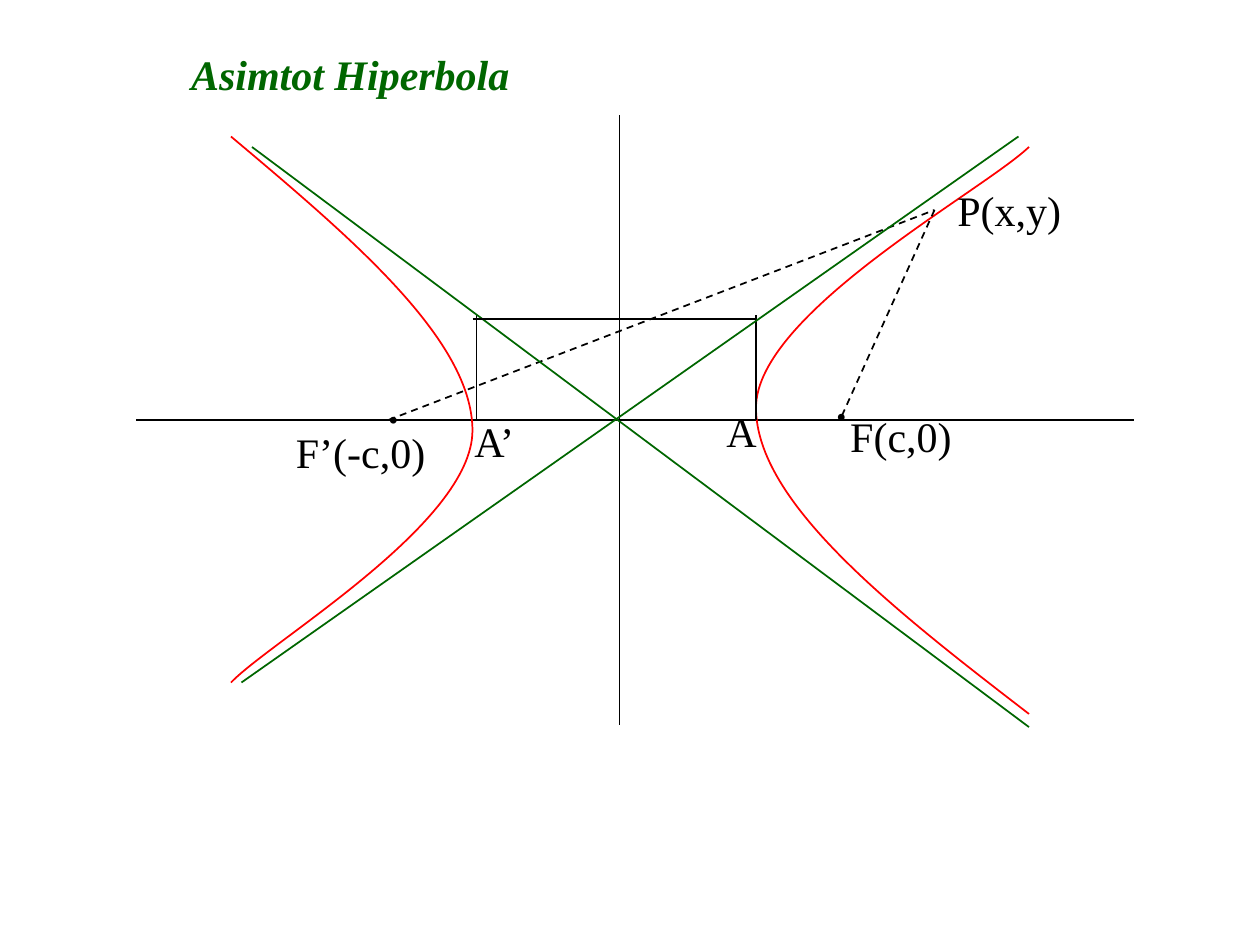
from pptx import Presentation
from pptx.dml.color import RGBColor
from pptx.enum.dml import MSO_LINE
from pptx.enum.shapes import MSO_CONNECTOR
from pptx.enum.text import MSO_ANCHOR, MSO_AUTO_SIZE, PP_ALIGN
from pptx.oxml.ns import qn
from pptx.util import Pt
from lxml import etree

STRAIGHT = MSO_CONNECTOR.STRAIGHT
DASH = MSO_LINE.DASH
TOP = MSO_ANCHOR.TOP
LEFT = PP_ALIGN.LEFT
FIT_SHAPE = MSO_AUTO_SIZE.SHAPE_TO_FIT_TEXT

BLACK = RGBColor(0, 0, 0)
RED = RGBColor(255, 0, 0)
GREEN = RGBColor(0, 102, 0)

FONT = "Times New Roman"
LABEL_HEIGHT = 36

AXES = [((0, -174), (0, 174)), ((-276, 0), (294, 0))]
BRANCHES = [
    [(-222, -162), (-153, -104), (-84, -45.6), (-84, 6),
     (-84, 59), (-199, 126), (-222, 150)],
    [(234, 168), (156, 108), (78, 47), (78, -7),
     (78, -61), (208, -131), (234, -156)],
]
FOCAL_RADII = [((-132, 0), (180, -120)), ((180, -120), (126, 0))]
RECTANGLE_SIDES = [((78, 0), (78, -60)), ((-81.75, 0), (-81.75, -60))]
RECTANGLE_TOP = ((-84, -57.75), (78, -57.75))
ASYMPTOTES = [((-216, 150), (228, -162)), ((-210, -156), (234, 175.5))]
FOCUS_DOTS = [(-139.25, -25.5, 20), (116.75, -27, 20)]
LABELS = [
    ("F(c,0)", 124.75, -9, 73),
    ("F’(-c,0)", -192, 0, 89),
    ("A", 54, -12, 32),
    ("A’", -90, -6, 40),
    ("P(x,y)", 186, -138, 74),
]


def write_text(box, text, color=BLACK, bold=False, italic=False):
    frame = box.text_frame
    frame.word_wrap = False
    frame.auto_size = FIT_SHAPE
    frame.vertical_anchor = TOP
    para = frame.paragraphs[0]
    para.alignment = LEFT
    span = para.add_run()
    span.text = text
    span.font.name = FONT
    span.font.size = Pt(24)
    span.font.bold = bold
    span.font.italic = italic
    span.font.color.rgb = color


def add_line(page, origin, ends, color=BLACK, dash=None):
    (x1, y1), (x2, y2) = ends
    x0, y0 = origin
    line = page.shapes.add_connector(
        STRAIGHT, Pt(x0 + x1), Pt(y0 + y1), Pt(x0 + x2), Pt(y0 + y2))
    line.line.color.rgb = color
    line.line.width = Pt(1)
    if dash:
        line.line.dash_style = dash
    etree.SubElement(line._element.spPr, qn("a:effectLst"))


def bend_segments(shape):
    segments = list(shape._element.iter(qn("a:lnTo")))
    outline = segments[0].getparent()
    for start in range(0, len(segments), 3):
        curve = etree.SubElement(outline, qn("a:cubicBezTo"))
        for segment in segments[start:start + 3]:
            curve.append(segment[0])
            outline.remove(segment)


def add_branch(page, origin, controls):
    x0, y0 = origin
    placed = [(Pt(x0 + x), Pt(y0 + y)) for x, y in controls]
    builder = page.shapes.build_freeform(*placed[0])
    builder.add_line_segments(placed[1:], close=False)
    branch = builder.convert_to_shape()
    bend_segments(branch)
    branch.shadow.inherit = False
    branch.fill.background()
    branch.line.color.rgb = RED
    branch.line.width = Pt(1)


def add_label(page, origin, text, x, y, width, **style):
    box = page.shapes.add_textbox(
        Pt(origin[0] + x), Pt(origin[1] + y), Pt(width), Pt(LABEL_HEIGHT))
    write_text(box, text, **style)


def place_title(page, left, top, width, height):
    title = page.shapes.title
    title.left, title.top = Pt(left), Pt(top)
    title.width, title.height = Pt(width), Pt(height)
    write_text(title, "Asimtot Hiperbola", color=GREEN, bold=True, italic=True)


def draw_hyperbola(page, left, top):
    origin = (left + 276, top + 174)
    for axis in AXES:
        add_line(page, origin, axis)
    for branch in BRANCHES:
        add_branch(page, origin, branch)
    for dot in FOCUS_DOTS:
        add_label(page, origin, ".", *dot, bold=True)
    for radius in FOCAL_RADII:
        add_line(page, origin, radius, dash=DASH)
    for label in LABELS:
        add_label(page, origin, *label)
    for side in RECTANGLE_SIDES:
        add_line(page, origin, side)
    for asymptote in ASYMPTOTES:
        add_line(page, origin, asymptote, color=GREEN)
    add_line(page, origin, RECTANGLE_TOP)


def main():
    deck = Presentation()
    deck.slide_width, deck.slide_height = Pt(720), Pt(540)
    page = deck.slides.add_slide(deck.slide_layouts[5])
    place_title(page, 102, 24, 196.5, 36)
    draw_hyperbola(page, 78, 66)
    deck.save("out.pptx")


if __name__ == "__main__":
    main()
